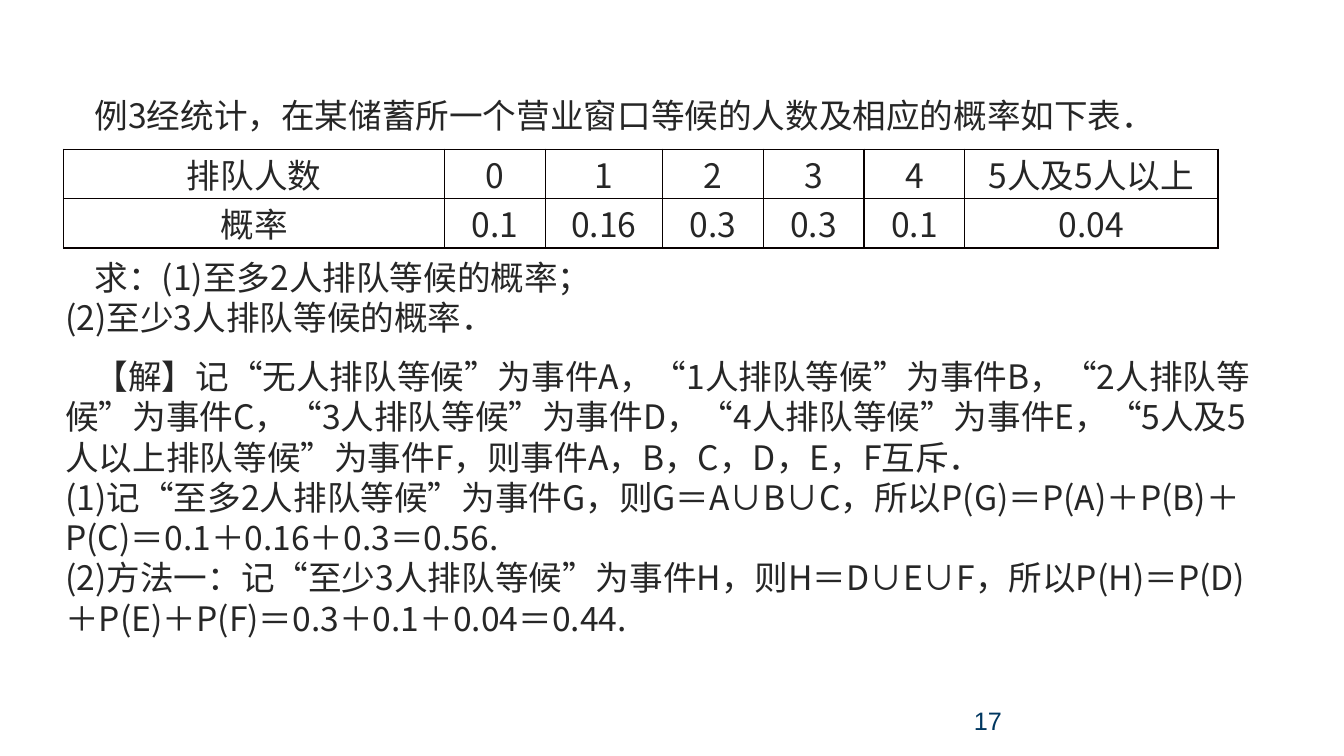
from lxml import etree
from pptx import Presentation
from pptx.dml.color import RGBColor
from pptx.enum import text
from pptx.oxml import ns
from pptx.util import Inches, Pt

INK = "262626"
CJK = "Noto Sans CJK SC"


def add_span(para, words, font=CJK, size=24, color=INK):
    span = para.add_run()
    span.text = words
    span.font.size = Pt(size)
    span.font.name = font
    span.font.color.rgb = RGBColor.from_string(color)
    props = span._r.get_or_add_rPr()
    props.set("lang", "zh-CN")
    etree.SubElement(props, ns.qn("a:ea"), typeface=font)


def add_border(cell, side):
    """Draw one edge of a table cell; side is L, R, T or B."""
    line = etree.SubElement(cell._tc.get_or_add_tcPr(), ns.qn(f"a:ln{side}"), w=str(Pt(1)))
    fill = etree.SubElement(line, ns.qn("a:solidFill"))
    etree.SubElement(fill, ns.qn("a:srgbClr"), val="080000")


deck = Presentation()
deck.slide_width, deck.slide_height = Inches(13.33), Inches(7.5)
page = deck.slides.add_slide(deck.slide_layouts[6])

# Question and solution: (top, height, [(first-line indent, space before, words)])
blocks = [
    (0.86, 2.52, [
        (0.29, 0, "例3经统计，在某储蓄所一个营业窗口等候的人数及相应的概率如下表．"),
        (0.29, 87, "求：(1)至多2人排队等候的概率；"),
        (0, 0, "(2)至少3人排队等候的概率．"),
    ]),
    (3.45, 3.33, [
        (0.29, 0, "【解】记“无人排队等候”为事件A，“1人排队等候”为事件B，“2人排队等候”为事件C，"
                  "“3人排队等候”为事件D，“4人排队等候”为事件E，“5人及5人以上排队等候”为事件F，"
                  "则事件A，B，C，D，E，F互斥．"),
        (0, 0, "(1)记“至多2人排队等候”为事件G，则G＝A∪B∪C，"
               "所以P(G)＝P(A)＋P(B)＋P(C)＝0.1＋0.16＋0.3＝0.56."),
        (0, 0, "(2)方法一：记“至少3人排队等候”为事件H，则H＝D∪E∪F，"
               "所以P(H)＝P(D)＋P(E)＋P(F)＝0.3＋0.1＋0.04＝0.44."),
    ]),
]
for top, height, lines in blocks:
    box = page.shapes.add_textbox(Inches(0.55), Inches(top), Inches(12.12), Inches(height))
    frame = box.text_frame
    frame.word_wrap = True
    frame.margin_top = Inches(0.08)
    for number, (indent, before, words) in enumerate(lines):
        para = frame.add_paragraph() if number else frame.paragraphs[0]
        para.line_spacing = Pt(28.8)
        para.space_before = Pt(before)
        para._p.get_or_add_pPr().set("indent", str(Inches(indent)))
        add_span(para, words)

# Probability table
rows = [
    ["排队人数", "0", "1", "2", "3", "4", "5人及5人以上"],
    ["概率", "0.1", "0.16", "0.3", "0.3", "0.1", "0.04"],
]
widths = [3.78, 1, 1.16, 1, 1, 1, 2.51]
table = page.shapes.add_table(len(rows), len(widths), Inches(0.63), Inches(1.48),
                              Inches(sum(widths)), Inches(0.98)).table
table.first_row = table.horz_banding = False
for column, width in zip(table.columns, widths):
    column.width = Inches(width)
for row, values in zip(table.rows, rows):
    row.height = Inches(0.49)
    for cell, value in zip(row.cells, values):
        cell.margin_left = cell.margin_right = Inches(0.07)
        cell.margin_top = cell.margin_bottom = 0
        cell.vertical_anchor = text.MSO_ANCHOR.MIDDLE
        for side in "LRTB":
            add_border(cell, side)
        cell.fill.background()
        para = cell.text_frame.paragraphs[0]
        para.alignment = text.PP_ALIGN.CENTER
        add_span(para, value)

# Page number
box = page.shapes.add_textbox(Inches(9.56), Inches(6.95), Inches(3.11), Inches(0.4))
box.text_frame.word_wrap = True
add_span(box.text_frame.paragraphs[0], "17", "Arial", 18, "003760")

deck.save("out.pptx")
